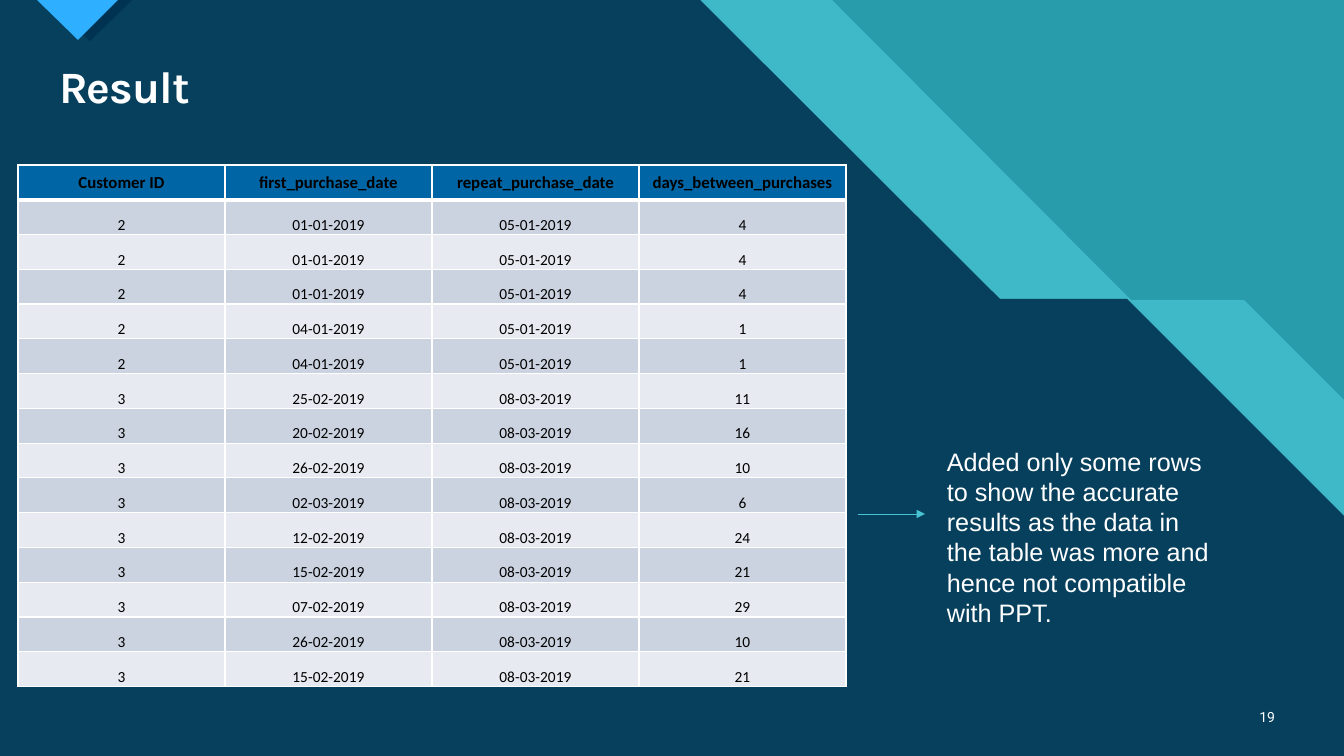
from lxml import etree
from pptx import Presentation
from pptx.dml.color import RGBColor
from pptx.enum.shapes import MSO_CONNECTOR
from pptx.enum.text import MSO_ANCHOR, MSO_AUTO_SIZE, PP_ALIGN
from pptx.oxml.ns import qn
from pptx.util import Emu, Pt

STRAIGHT = MSO_CONNECTOR.STRAIGHT
TOP, MIDDLE, BOTTOM = MSO_ANCHOR.TOP, MSO_ANCHOR.MIDDLE, MSO_ANCHOR.BOTTOM
LEFT, CENTER, RIGHT = PP_ALIGN.LEFT, PP_ALIGN.CENTER, PP_ALIGN.RIGHT
NO_AUTOFIT = MSO_AUTO_SIZE.NONE

SLIDE_WIDTH, SLIDE_HEIGHT = 1344, 756
EMU_PER_PX = 12192000 / SLIDE_WIDTH
TITLE_ONLY = 5

WHITE, BLACK = "FFFFFF", "000000"
TEAL, AQUA, NAVY, BLUE = "299CAB", "47C3D3", "003352", "2FAFFF"
HEADER_FILL = "0065A4"
BAND_FILLS = ("E7EAF0", "CCD3E0")

TITLE_FONT = {"name": "Karla", "size": Pt(32), "bold": True}
NUMBER_FONT = {"name": "Roboto", "size": Pt(10)}
NOTE_FONT = {"name": "Arial", "size": Pt(18)}
HEADER_FONT = {"name": "Calibri", "size": Pt(12), "bold": True}
CELL_FONT = {"name": "Calibri", "size": Pt(11), "bold": False}

BACKDROP = [
    (AQUA, 74, [(0, 0), (832, 0), (1131, 300), (1244, 300), (1344, 400), (1344, 756), (0, 756)]),
    (NAVY, 90, [(0, 0), (700, 0), (1000, 299), (1127, 299), (1344, 516), (1344, 756), (0, 756)]),
    (NAVY, 100, [(48, 0), (132, 0), (90, 41)]),
    (BLUE, 100, [(37, 0), (118, 0), (78, 40)]),
]

PURCHASES = [
    ("Customer ID", "first_purchase_date", "repeat_purchase_date", "days_between_purchases"),
    ("2", "01-01-2019", "05-01-2019", "4"),
    ("2", "01-01-2019", "05-01-2019", "4"),
    ("2", "01-01-2019", "05-01-2019", "4"),
    ("2", "04-01-2019", "05-01-2019", "1"),
    ("2", "04-01-2019", "05-01-2019", "1"),
    ("3", "25-02-2019", "08-03-2019", "11"),
    ("3", "20-02-2019", "08-03-2019", "16"),
    ("3", "26-02-2019", "08-03-2019", "10"),
    ("3", "02-03-2019", "08-03-2019", "6"),
    ("3", "12-02-2019", "08-03-2019", "24"),
    ("3", "15-02-2019", "08-03-2019", "21"),
    ("3", "07-02-2019", "08-03-2019", "29"),
    ("3", "26-02-2019", "08-03-2019", "10"),
    ("3", "15-02-2019", "08-03-2019", "21"),
]

NOTE_LINES = [
    "Added only some rows",
    "to show the accurate",
    "results as the data in",
    "the table was more and hence not compatible with PPT.",
]


def px(length):
    return Emu(round(length * EMU_PER_PX))


def color(hex_string):
    return RGBColor.from_string(hex_string)


def apply(target, values):
    for name, value in values.items():
        setattr(target, name, value)


def paint(fill, hex_string):
    fill.solid()
    fill.fore_color.rgb = color(hex_string)


class SlideBuilder:
    def __init__(self, presentation):
        self.slide = presentation.slides.add_slide(presentation.slide_layouts[TITLE_ONLY])
        self.shapes = self.slide.shapes

    def background(self, hex_string):
        paint(self.slide.background.fill, hex_string)

    def polygon(self, hex_string, opacity, points):
        builder = self.shapes.build_freeform(*points[0], scale=EMU_PER_PX)
        builder.add_line_segments(points[1:], close=True)
        shape = builder.convert_to_shape()
        shape.shadow.inherit = False
        shape.line.fill.background()
        paint(shape.fill, hex_string)
        if opacity < 100:
            color_element = shape.fill._xPr.find(qn("a:solidFill"))[0]
            etree.SubElement(color_element, qn("a:alpha")).set("val", str(opacity * 1000))

    def fill_text(self, frame, lines, font, hex_string=WHITE, align=LEFT):
        for index, line in enumerate(lines):
            paragraph = frame.add_paragraph() if index else frame.paragraphs[0]
            paragraph.alignment = align
            run = paragraph.add_run()
            run.text = line
            apply(run.font, font)
            run.font.color.rgb = color(hex_string)

    def title(self, text, left, top, width, height):
        title = self.shapes.title
        self.shapes._spTree.append(title._element)
        apply(title, {"left": px(left), "top": px(top), "width": px(width), "height": px(height)})
        frame = title.text_frame
        apply(frame, {"vertical_anchor": MIDDLE, "auto_size": NO_AUTOFIT, "word_wrap": True})
        self.fill_text(frame, [text], TITLE_FONT)
        paragraph = frame.paragraphs[0]
        paragraph.line_spacing = 0.9
        paragraph.runs[0].font._element.set("spc", "-70")

    def text(self, lines, left, top, width, height, font, align=LEFT, anchor=TOP):
        box = self.shapes.add_textbox(px(left), px(top), px(width), px(height))
        apply(box.text_frame, {"word_wrap": True, "vertical_anchor": anchor})
        self.fill_text(box.text_frame, lines, font, align=align)

    def border(self, cell, side, points):
        properties = cell._tc.get_or_add_tcPr()
        line = etree.SubElement(properties, qn(f"a:ln{side}"), w=str(Pt(points)))
        fill = etree.SubElement(line, qn("a:solidFill"))
        etree.SubElement(fill, qn("a:srgbClr"), val=WHITE)

    def table(self, rows, left, top, width, height):
        table = self.shapes.add_table(
            len(rows), len(rows[0]), px(left), px(top), px(width), px(height)
        ).table
        apply(table, {"first_row": False, "horz_banding": False})
        for row_index, row in enumerate(rows):
            header = row_index == 0
            for column_index, value in enumerate(row):
                cell = table.cell(row_index, column_index)
                apply(cell, {
                    "margin_left": px(1), "margin_right": px(1),
                    "margin_top": px(1), "margin_bottom": 0,
                    "vertical_anchor": MIDDLE if header else BOTTOM,
                })
                for side in "LRTB":
                    thick = (row_index, side) in ((0, "B"), (1, "T"))
                    self.border(cell, side, 3 if thick else 1)
                paint(cell.fill, HEADER_FILL if header else BAND_FILLS[row_index % 2])
                font = HEADER_FONT if header else CELL_FONT
                self.fill_text(cell.text_frame, [value], font, BLACK, CENTER)

    def arrow(self, start_x, start_y, end_x, end_y, hex_string):
        connector = self.shapes.add_connector(
            STRAIGHT, px(start_x), px(start_y), px(end_x), px(end_y)
        )
        connector.line.width = Pt(0.5)
        connector.line.color.rgb = color(hex_string)
        etree.SubElement(connector.line._get_or_add_ln(), qn("a:tailEnd"), type="triangle")
        etree.SubElement(connector._element.spPr, qn("a:effectLst"))


def main():
    presentation = Presentation()
    apply(presentation, {"slide_width": px(SLIDE_WIDTH), "slide_height": px(SLIDE_HEIGHT)})
    builder = SlideBuilder(presentation)
    builder.background(TEAL)
    for layer in BACKDROP:
        builder.polygon(*layer)
    builder.title("Result", 49, 59, 1236, 60)
    builder.text(["19"], 1241, 697, 44, 40, NUMBER_FONT, RIGHT, MIDDLE)
    builder.table(PURCHASES, 18, 165, 828, 522)
    builder.arrow(858, 514, 925, 514, AQUA)
    builder.text(NOTE_LINES, 937, 441, 285, 193, NOTE_FONT)
    presentation.save("out.pptx")


if __name__ == "__main__":
    main()
